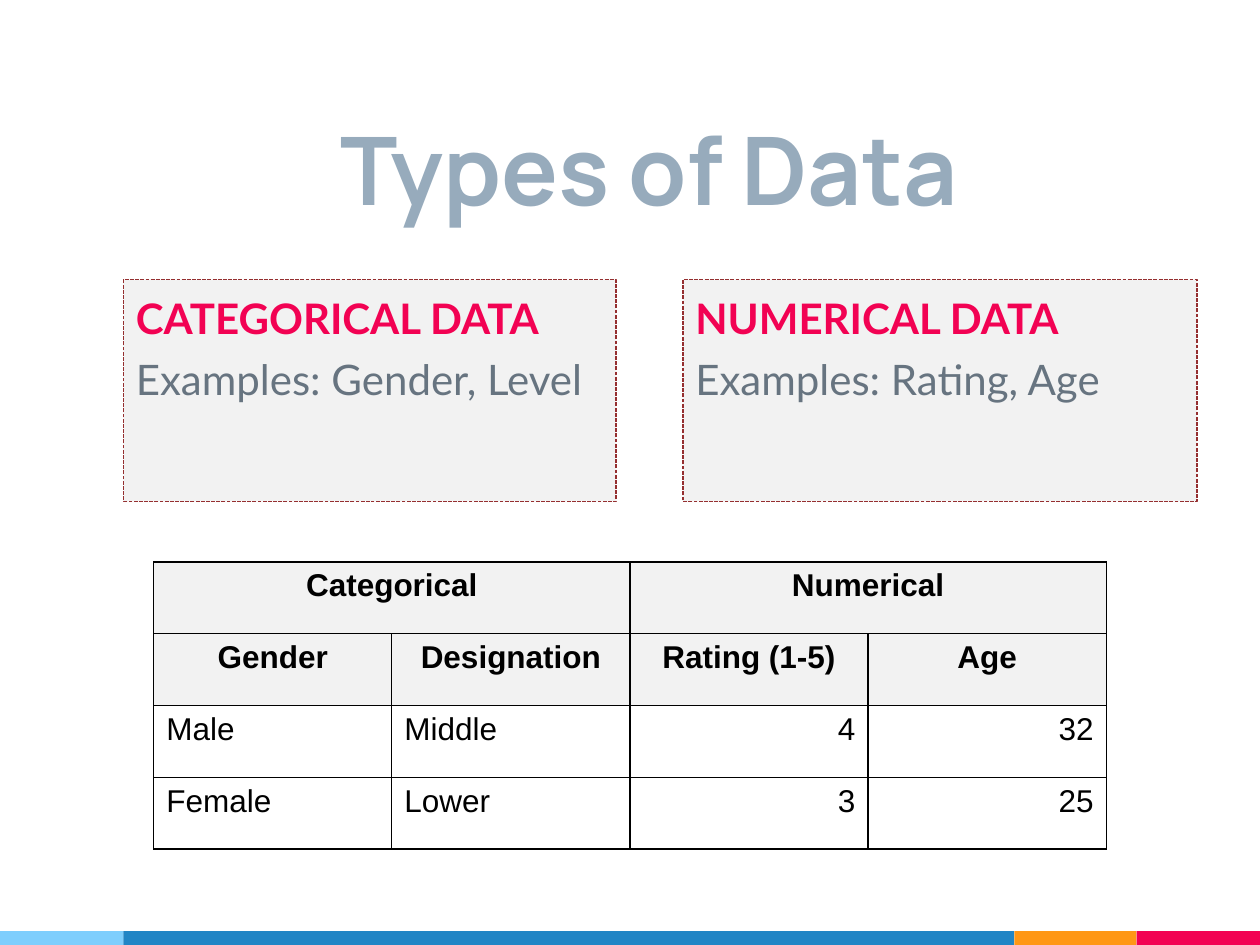
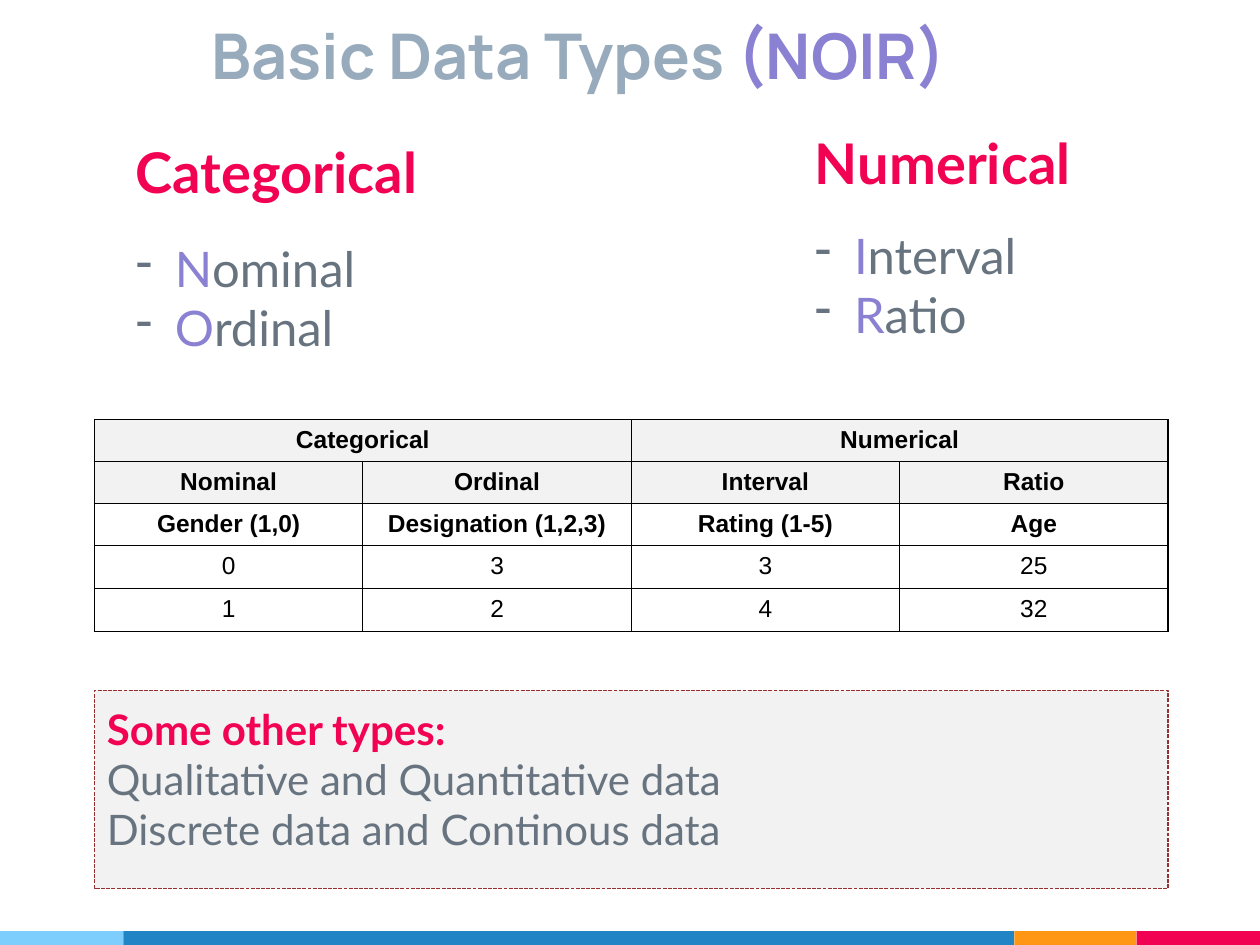
"""Build two slides on the basic types of data."""
from dataclasses import dataclass
from itertools import product
from typing import NamedTuple

from lxml import etree
from pptx import Presentation
from pptx.dml.color import RGBColor
from pptx.enum.dml import MSO_LINE
from pptx.enum.shapes import MSO_SHAPE
from pptx.enum.text import MSO_ANCHOR, PP_ALIGN
from pptx.oxml.ns import qn
from pptx.util import Inches, Pt

RECT = MSO_SHAPE.RECTANGLE
DASH = MSO_LINE.SQUARE_DOT
TOP, BOTTOM = MSO_ANCHOR.TOP, MSO_ANCHOR.BOTTOM
LEFT, MID, RIGHT = PP_ALIGN.LEFT, PP_ALIGN.CENTER, PP_ALIGN.RIGHT


@dataclass(frozen=True)
class Theme:
    title: str = "97ABBC"
    accent: str = "8B81D2"
    head: str = "F20253"
    body: str = "677480"
    panel: str = "F2F2F2"
    edge: str = "952F30"
    ink: str = "000000"
    sky: str = "7ECEFD"
    blue: str = "2185C5"
    gold: str = "FF9715"
    title_font: str = "Manrope"
    body_font: str = "Lato"
    grid_font: str = "Arial"
    huge: int = 54
    large: int = 36
    list_head: int = 32
    list_text: int = 28
    panel_text: int = 24
    grid_big: int = 18
    grid_small: int = 14
    thin: float = 0.75


THEME = Theme()


class Box(NamedTuple):
    x: float
    y: float
    w: float
    h: float

    def lengths(self) -> list:
        return [Inches(v) for v in self]


class Run(NamedTuple):
    text: str
    size: int
    color: str
    bold: bool = False
    font: str = THEME.body_font


class Para(NamedTuple):
    runs: tuple
    before: float = 0
    align: PP_ALIGN = LEFT
    dash: bool = False


class Grid(NamedTuple):
    box: Box
    heights: tuple
    size: int
    rows: tuple
    bold: int
    aligns: tuple


class Band(NamedTuple):
    width: float
    color: str


BANDS = (Band(0.98, THEME.sky), Band(7.07, THEME.blue),
         Band(0.97, THEME.gold), Band(0.98, THEME.head))


def rgb(code: str) -> RGBColor:
    return RGBColor.from_string(code)


def add_dash(para) -> None:
    props = para._p.get_or_add_pPr()
    props.set("marL", str(Inches(0.31)))
    props.set("indent", str(Inches(-0.31)))
    tint = etree.SubElement(props, qn("a:buClr"))
    etree.SubElement(tint, qn("a:srgbClr"), val=THEME.body)
    etree.SubElement(props, qn("a:buChar"), char="-")


def write(frame, paras: tuple) -> None:
    for i, item in enumerate(paras):
        para = frame.add_paragraph() if i else frame.paragraphs[0]
        para.alignment = item.align
        para.space_before = Pt(item.before)
        if item.dash:
            add_dash(para)
        for part in item.runs:
            run = para.add_run()
            run.text = part.text
            font = run.font
            font.size, font.bold, font.name = Pt(part.size), part.bold, part.font
            font.color.rgb = rgb(part.color)


def fill_frame(shape, paras: tuple, anchor: MSO_ANCHOR = TOP) -> None:
    frame = shape.text_frame
    frame.word_wrap = True
    frame.vertical_anchor = anchor
    frame.margin_left = frame.margin_right = Inches(0.1)
    frame.margin_top = frame.margin_bottom = Inches(0.1)
    write(frame, paras)


def add_rect(slide, box: Box, color: str):
    shape = slide.shapes.add_shape(RECT, *box.lengths())
    shape.shadow.inherit = False
    shape.fill.solid()
    shape.fill.fore_color.rgb = rgb(color)
    shape.line.fill.background()
    return shape


def add_bands(slide) -> None:
    x = 0
    for band in BANDS:
        add_rect(slide, Box(x, 7.39, band.width, 0.11), band.color)
        x += band.width


def add_text(slide, box: Box, paras: tuple, anchor: MSO_ANCHOR = TOP) -> None:
    fill_frame(slide.shapes.add_textbox(*box.lengths()), paras, anchor)


def add_title(slide, box: Box, size: int, *parts: tuple) -> None:
    runs = tuple(Run(text, size, color, True, THEME.title_font)
                 for text, color in parts)
    add_text(slide, box, (Para(runs, align=MID),), BOTTOM)


def add_panel(slide, box: Box, head: str, lines: tuple, gap: float = 0) -> None:
    shape = add_rect(slide, box, THEME.panel)
    shape.line.color.rgb = rgb(THEME.edge)
    shape.line.width = Pt(THEME.thin)
    shape.line.dash_style = DASH
    size = THEME.panel_text
    paras = [Para((Run(head, size, THEME.head, True),), gap)]
    paras += [Para((Run(line, size, THEME.body),), gap) for line in lines]
    fill_frame(shape, tuple(paras))


def add_list(slide, box: Box, head: str, words: tuple, gap: float) -> None:
    size = THEME.list_text
    paras = [Para((Run(head, THEME.list_head, THEME.head, True),))]
    for i, word in enumerate(words):
        runs = (Run(word[0], size, THEME.accent), Run(word[1:], size, THEME.body))
        paras.append(Para(runs, 0 if i else gap, dash=True))
    add_text(slide, box, tuple(paras))


def add_edges(cell) -> None:
    props = cell._tc.get_or_add_tcPr()
    for side in "LRTB":
        line = etree.SubElement(props, qn(f"a:ln{side}"), w=str(Pt(THEME.thin)))
        solid = etree.SubElement(line, qn("a:solidFill"))
        etree.SubElement(solid, qn("a:srgbClr"), val=THEME.ink)


def add_grid(slide, grid: Grid) -> None:
    count = len(grid.aligns)
    frame = slide.shapes.add_table(len(grid.rows), count, *grid.box.lengths())
    table = frame.table
    table.first_row = table.horz_banding = False
    for col in table.columns:
        col.width = Inches(grid.box.w / count)
    for row, height in zip(table.rows, grid.heights):
        row.height = Inches(height)
    for r, c in product(range(len(grid.rows)), range(count)):
        cell, text = table.cell(r, c), grid.rows[r][c]
        add_edges(cell)
        if r < 2:
            cell.fill.solid()
            cell.fill.fore_color.rgb = rgb(THEME.panel)
        else:
            cell.fill.background()
        if text:
            bold = r < grid.bold
            run = Run(text, grid.size, THEME.ink, bold, THEME.grid_font)
            align = MID if bold else grid.aligns[c]
            write(cell.text_frame, (Para((run,), align=align),))
        else:
            table.cell(r, c - 1).merge(cell)


def build_types(slide) -> None:
    add_bands(slide)
    add_title(slide, Box(0.98, 0.63, 8.34, 1.25), THEME.huge,
              ("Types of Data", THEME.title))
    add_panel(slide, Box(0.98, 2.22, 3.91, 1.76), "CATEGORICAL DATA",
              ("Examples: Gender, Level",), 6)
    add_panel(slide, Box(5.42, 2.22, 4.08, 1.76), "NUMERICAL DATA",
              ("Examples: Rating, Age",), 6)
    rows = (("Categorical", "", "Numerical", ""),
            ("Gender", "Designation", "Rating (1-5)", "Age"),
            ("Male", "Middle", "4", "32"),
            ("Female", "Lower", "3", "25"))
    add_grid(slide, Grid(Box(1.22, 4.46, 7.56, 2.28), (0.57,) * 4,
                         THEME.grid_big, rows, 2, (LEFT, LEFT, RIGHT, RIGHT)))


def build_basics(slide) -> None:
    add_bands(slide)
    add_list(slide, Box(0.98, 0.99, 3.43, 2.49), "Categorical",
             ("Nominal", "Ordinal"), 19.2)
    add_title(slide, Box(1.06, -0.42, 7.07, 1.25), THEME.large,
              ("Basic Data Types ", THEME.title), ("(NOIR)", THEME.accent))
    add_list(slide, Box(6.37, 0.92, 3.43, 2.49), "Numerical",
             ("Interval", "Ratio"), 16.8)
    add_panel(slide, Box(0.75, 5.48, 8.52, 1.57), "Some other types:",
              ("Qualitative and Quantitative data",
               "Discrete data and Continous data"))
    rows = (("Categorical", "", "Numerical", ""),
            ("Nominal", "Ordinal", "Interval", "Ratio"),
            ("Gender (1,0)", "Designation (1,2,3)", "Rating (1-5)", "Age"),
            ("0", "3", "3", "25"),
            ("1", "2", "4", "32"))
    add_grid(slide, Grid(Box(0.75, 3.33, 8.52, 1.64),
                         (0.32, 0.32, 0.32, 0.34, 0.34),
                         THEME.grid_small, rows, 3, (MID,) * 4))


def main() -> None:
    deck = Presentation()
    deck.slide_width, deck.slide_height = Inches(10), Inches(7.5)
    for build in (build_types, build_basics):
        build(deck.slides.add_slide(deck.slide_layouts[6]))
    deck.save("out.pptx")


if __name__ == "__main__":
    main()
